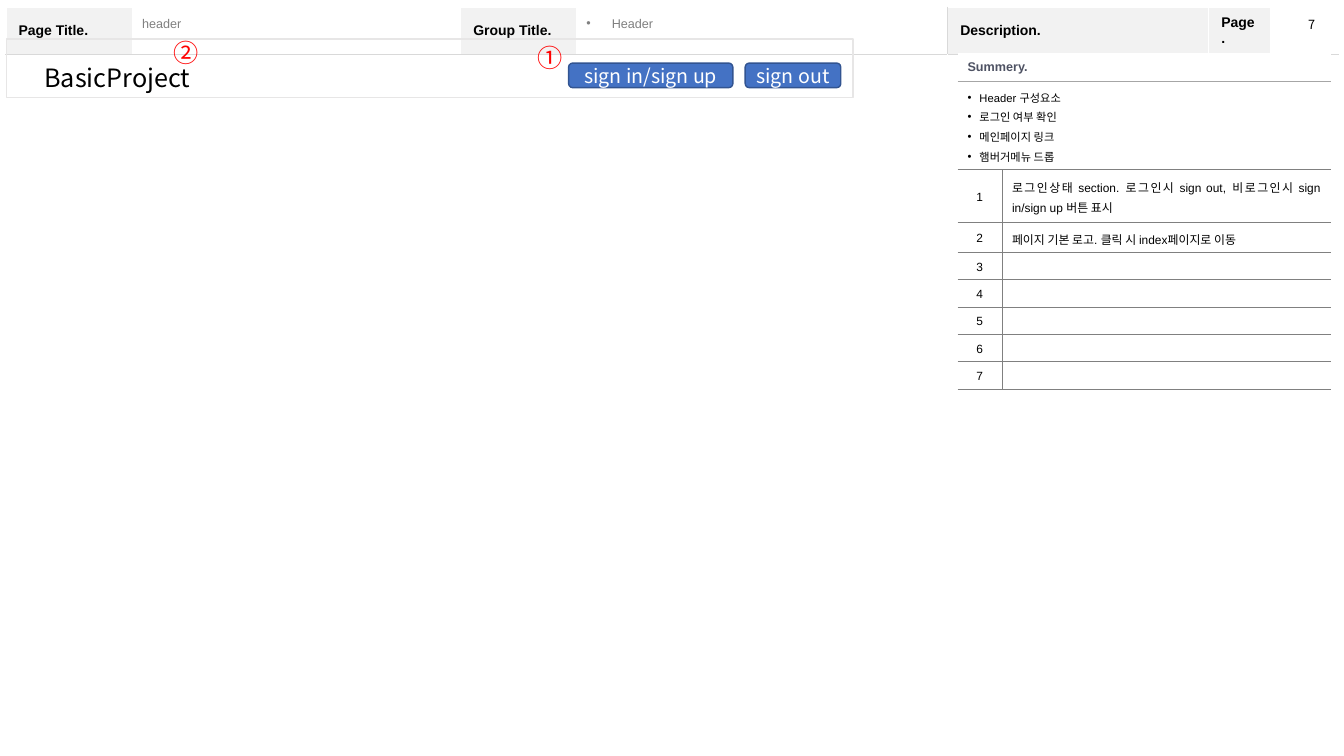
import pptx
import pptx.util
import pptx.dml.color
import pptx.enum.text
import pptx.enum.shapes
import pptx.oxml.ns
import lxml.etree

Cm, Pt = pptx.util.Cm, pptx.util.Pt
RGB = pptx.dml.color.RGBColor
ALIGN = pptx.enum.text.PP_ALIGN
MID = pptx.enum.text.MSO_ANCHOR.MIDDLE
TOP = pptx.enum.text.MSO_ANCHOR.TOP
SHAPE = pptx.enum.shapes.MSO_SHAPE
qn = pptx.oxml.ns.qn

BLACK = RGB(0, 0, 0)
WHITE = RGB(255, 255, 255)
RED = RGB(255, 0, 0)
PALE = RGB(0xF2, 0xF2, 0xF2)
LIGHT = RGB(0xD9, 0xD9, 0xD9)
FRAME = RGB(0xE7, 0xE6, 0xE6)
SOFT = RGB(0xA6, 0xA6, 0xA6)
GRAY = RGB(0x80, 0x80, 0x80)
SLATE = RGB(0x4E, 0x52, 0x63)
BLUE = RGB(0x44, 0x72, 0xC4)
NAVY = RGB(0x32, 0x54, 0x91)
ARIAL, NOTO = "Arial", "Noto Sans CJK KR"
NOSTYLE = "{2D5ABB26-0587-4C30-8999-92F81FD0307C}"


def put(frame, text, size=9, font=ARIAL, color=BLACK, bold=False,
        align=ALIGN.LEFT, lead=None, hang=0):
    for i, line in enumerate(text.split("\n")):
        para = frame.add_paragraph() if i else frame.paragraphs[0]
        para.alignment = align
        if lead:
            para.line_spacing = lead
        if hang:
            props = para._p.get_or_add_pPr()
            props.set("marL", str(Cm(hang)))
            props.set("indent", str(-Cm(hang)))
            face = lxml.etree.SubElement(props, qn("a:buFont"))
            face.set("typeface", ARIAL)
            lxml.etree.SubElement(props, qn("a:buChar")).set("char", "•")
        if not line:
            para.font.size = Pt(size)
            end = lxml.etree.SubElement(para._p, qn("a:endParaRPr"))
            end.set("sz", str(int(size * 100)))
            continue
        run = para.add_run()
        run.text = line
        run.font.size = Pt(size)
        run.font.name = font
        run.font.bold = bold
        run.font.color.rgb = color
        east = lxml.etree.SubElement(run._r.get_or_add_rPr(), qn("a:ea"))
        east.set("typeface", NOTO)


def label(slide, box, text, anchor=TOP, wrap=True, **style):
    frame = slide.shapes.add_textbox(*map(Cm, box)).text_frame
    frame.word_wrap = wrap
    frame.vertical_anchor = anchor
    put(frame, text, **style)


def block(slide, kind, box, line, fill=None):
    shape = slide.shapes.add_shape(kind, *map(Cm, box))
    shape.shadow.inherit = False
    shape.line.color.rgb = line
    shape.line.width = Pt(1)
    if fill is None:
        shape.fill.background()
    else:
        shape.fill.solid()
        shape.fill.fore_color.rgb = fill
    return shape


def edge(cell, **sides):
    props = cell._tc.get_or_add_tcPr()
    for i, side in enumerate(s for s in "LRTB" if s in sides):
        color, width = sides[side]
        line = lxml.etree.Element(qn("a:ln" + side), w=str(Pt(width)))
        fill = lxml.etree.SubElement(line, qn("a:solidFill"))
        lxml.etree.SubElement(fill, qn("a:srgbClr")).set("val", str(color))
        props.insert(i, line)


def paint(cell, color):
    cell.fill.solid()
    cell.fill.fore_color.rgb = color


def grid(slide, left, top, cols, rows):
    box = map(Cm, (left, top, sum(cols), sum(rows)))
    table = slide.shapes.add_table(len(rows), len(cols), *box).table
    table.first_row = table.horz_banding = False
    table._tbl.tblPr.find(qn("a:tableStyleId")).text = NOSTYLE
    for col, width in zip(table.columns, cols):
        col.width = Cm(width)
    for row, height in zip(table.rows, rows):
        row.height = Cm(height)
    return table


def sheet(slide, left, top):
    cols = [3.2, 8.26, 2.92, 9.35, 6.58, 1.55, 1.73]
    table = grid(slide, left, top, cols, [1.18, 16.93])
    heads = ["Page Title.", "", "Group Title.", "", "Description.", "Page.", ""]
    thin, plain = (LIGHT, 0.25), (WHITE, 1)
    for i, head in enumerate(heads):
        cell = table.cell(0, i)
        cell.vertical_anchor = MID
        cell.margin_left = cell.margin_right = Cm(0.32)
        cell.margin_top = cell.margin_bottom = Cm(0.18)
        put(cell.text_frame, head, size=10, bold=True)
        if head:
            paint(cell, PALE)
        edge(cell, L=thin if i == 4 else plain, T=plain,
             R=thin if i == 3 else plain, B=thin)
    for first, last in ((0, 3), (4, 6)):
        table.cell(1, first).merge(table.cell(1, last))
        for i in range(first, last + 1):
            edge(table.cell(1, i), L=thin if i == 4 else plain, T=thin,
                 R=thin if i == 3 else plain, B=plain)
    label(slide, (left + 3.18, top + 0.12, 8.23, 0.61), "header",
          anchor=MID, color=GRAY, lead=0.9)
    label(slide, (left + 14.38, top + 0.12, 9.25, 0.61), "Header",
          anchor=MID, color=GRAY, lead=0.9, hang=0.64)
    label(slide, (left + 32.57, top + 0.12, 0.69, 0.64), "7",
          wrap=False, font=NOTO)


def notes(slide, left, top):
    rows = [0.71, 2.23, 1.32, 0.76] + [0.69] * 5
    table = grid(slide, left, top, [1.12, 8.28], rows)
    thin = (GRAY, 0.25)
    soft = (SOFT, 0.25)
    for i in (0, 1):
        table.cell(i, 0).merge(table.cell(i, 1))
        table.cell(i, 0).vertical_anchor = MID
    for i in (0, 1):
        edge(table.cell(0, i), B=soft)
        edge(table.cell(1, i), T=soft, B=thin)
    paint(table.cell(0, 0), WHITE)
    put(table.cell(0, 0).text_frame, "Summery.", color=SLATE, bold=True)
    put(table.cell(1, 0).text_frame,
        "Header 구성요소\n로그인 여부 확인\n메인페이지 링크\n햄버거메뉴 드롭",
        size=8, align=ALIGN.JUSTIFY, lead=1.2, hang=0.3)
    texts = ["로그인상태 section. 로그인시 sign out, 비로그인시 "
             "sign in/sign up 버튼 표시",
             "페이지 기본 로고. 클릭 시 index페이지로 이동"] + [""] * 5
    for i, text in enumerate(texts, 1):
        mark, body = table.cell(i + 1, 0), table.cell(i + 1, 1)
        mark.vertical_anchor = body.vertical_anchor = MID
        put(mark.text_frame, str(i), size=8.5, align=ALIGN.CENTER, lead=1.2)
        put(body.text_frame, text, size=8.5, align=ALIGN.JUSTIFY, lead=1.2)
        edge(mark, R=thin, T=thin, B=thin)
        edge(body, L=thin, T=thin, B=thin)


def mockup(slide, left, top):
    label(slide, (left + 13.13, top - 0.05, 1.02, 1.02), "①",
          size=18, font=NOTO, color=RED)
    label(slide, (left + 0.71, top + 0.46, 4.19, 1.02), "BasicProject",
          size=18, font=NOTO)
    for gap, width, text, align in (
            (14.17, 4.14, "sign in/sign up", ALIGN.CENTER),
            (18.62, 2.41, "sign out", ALIGN.LEFT)):
        shape = block(slide, SHAPE.ROUNDED_RECTANGLE,
                      (left + gap, top + 0.61, width, 0.62), NAVY, BLUE)
        shape.text_frame.vertical_anchor = MID
        put(shape.text_frame, text, size=14, font=NOTO, color=WHITE,
            align=align)
    block(slide, SHAPE.RECTANGLE, (left, top, 21.34, 1.48), FRAME)
    label(slide, (left + 3.96, top - 0.16, 1.02, 1.02), "②",
          size=18, font=NOTO, color=RED)


deck = pptx.Presentation()
deck.slide_width, deck.slide_height = Cm(33.87), Cm(19.05)
slide = deck.slides.add_slide(deck.slide_layouts[6])
sheet(slide, 0.15, 0.18)
notes(slide, 24.13, 1.33)
mockup(slide, 0.16, 0.98)
deck.save("out.pptx")
